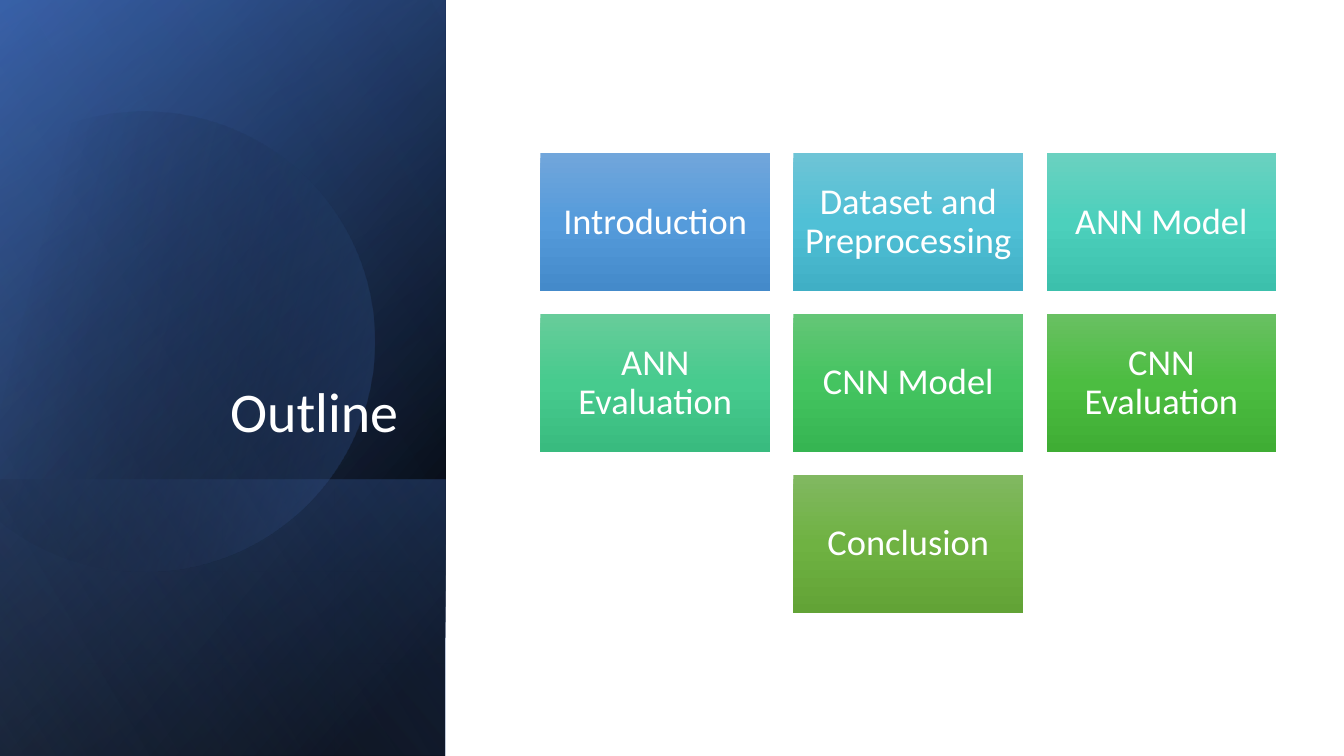
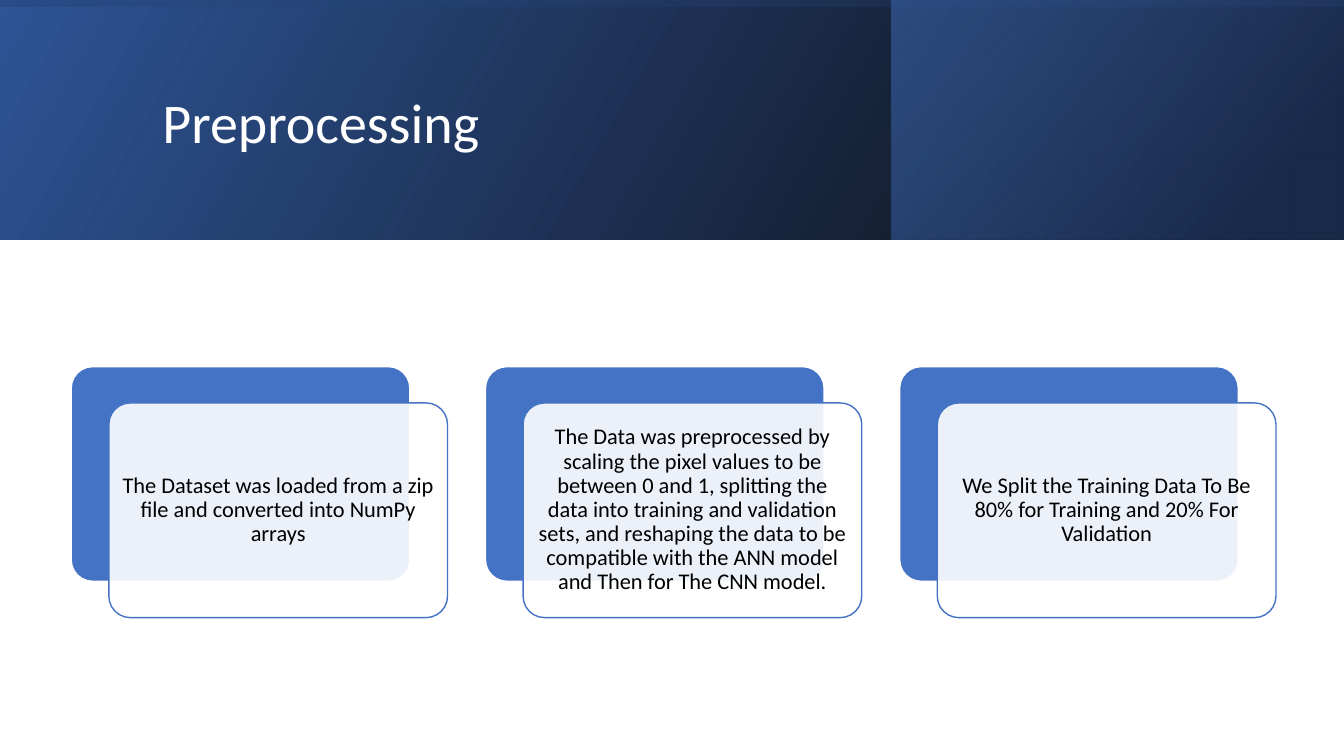
import math

from lxml import etree
from pptx import Presentation
from pptx import util as u
from pptx.dml.color import RGBColor
from pptx.enum import shapes, text
from pptx.oxml.ns import qn

COLORS = {
    "white": "FFFFFF",
    "black": "000000",
    "navy": "203864",
    "deep": "2F5597",
    "blue": "4472C4",
    "pale": "8FAADC",
}
FONT = "Calibri"
TITLE_SIZE = 40

TOPICS = [
    ("Introduction", ("71A6DB", "559BDB", "448ACA")),
    ("Dataset and Preprocessing", ("6EC4D6", "50C0D6", "40AFC5")),
    ("ANN Model", ("6AD1C0", "4CD0BC", "3CC0AC")),
    ("ANN Evaluation", ("67CC9A", "47CB8E", "39BB7F")),
    ("CNN Model", ("64C677", "44C460", "36B552")),
    ("CNN Evaluation", ("69C062", "4CBD41", "3FAD34")),
    ("Conclusion", ("81B861", "6FB242", "62A336")),
]
STEPS = [
    "The Dataset was loaded from a zip file and converted into NumPy arrays",
    "The Data was preprocessed by scaling the pixel values to be between 0 and 1, "
    "splitting the data into training and validation sets, and reshaping the data "
    "to be compatible with the ANN model and Then for The CNN model.",
    "We Split the Training Data To Be 80% for Training and 20% For Validation",
]


class Deck:
    def __init__(self):
        self.presentation = Presentation()
        self.presentation.slide_width = u.Inches(13.33)
        self.presentation.slide_height = u.Inches(7.5)
        self.slide = None

    def add_slide(self):
        layout = self.presentation.slide_layouts[5]
        self.slide = self.presentation.slides.add_slide(layout)

    def box(self, left, top, width, height):
        across = self.presentation.slide_width / 100
        down = self.presentation.slide_height / 100
        return [round(value) for value in
                (left * across, top * down, width * across, height * down)]

    def color(self, name):
        return RGBColor.from_string(COLORS.get(name, name))

    def gradient(self, shape, stops, angle):
        shape.fill.gradient()
        properties = shape.element.spPr
        stop_list = properties.find(".//" + qn("a:gsLst"))
        stop_list.clear()
        for position, name, opacity in stops:
            stop = etree.SubElement(stop_list, qn("a:gs"), pos=str(position * 1000))
            color = etree.SubElement(stop, qn("a:srgbClr"), val=COLORS.get(name, name))
            if opacity < 100:
                etree.SubElement(color, qn("a:alpha"), val=str(opacity * 1000))
        line = properties.find(".//" + qn("a:lin"))
        line.set("ang", str(angle * 60000))
        line.set("scaled", "0")

    def finish(self, shape):
        shape.shadow.inherit = False
        shape.line.fill.background()

    def panel(self, area, stops, angle, rotation=0):
        left, top, width, height = self.box(*area)
        if rotation % 180:
            left += (width - height) // 2
            top += (height - width) // 2
            width, height = height, width
        shape = self.slide.shapes.add_shape(
            shapes.MSO_SHAPE.RECTANGLE, left, top, width, height)
        shape.rotation = rotation
        shape.element.spPr.find(qn("a:xfrm")).set("flipH", "1")
        self.finish(shape)
        self.gradient(shape, stops, angle)

    def clipped_circle(self, center, radius, arc, rotation, stops, angle):
        x, y, radius, _ = self.box(*center, radius, 0)
        start, end = arc
        points = []
        for step in range(121):
            turn = math.radians(start + (end - start) * step / 120)
            points.append((x + radius * math.cos(turn), y + radius * math.sin(turn)))
        builder = self.slide.shapes.build_freeform(*points[0])
        builder.add_line_segments(points[1:], close=True)
        shape = builder.convert_to_shape()
        shape.rotation = rotation
        self.finish(shape)
        self.gradient(shape, stops, angle)

    def label(self, shape, words, size, color, align, anchor, inset=0.1):
        frame = shape.text_frame
        frame.word_wrap = True
        frame.auto_size = text.MSO_AUTO_SIZE.NONE
        frame.vertical_anchor = anchor
        frame.margin_left = frame.margin_right = u.Inches(inset)
        frame.margin_top = frame.margin_bottom = u.Inches(min(inset, 0.05))
        paragraph = frame.paragraphs[0]
        paragraph.alignment = align
        paragraph.line_spacing = 0.9
        run = paragraph.add_run()
        run.text = words
        run.font.name = FONT
        run.font.size = u.Pt(size)
        run.font.color.rgb = self.color(color)

    def title(self, words, area, align, anchor):
        shape = self.slide.shapes.title
        shape.left, shape.top, shape.width, shape.height = self.box(*area)
        self.label(shape, words, TITLE_SIZE, "white", align, anchor)
        shape.element.getparent().append(shape.element)

    def tile(self, words, area, colors):
        shape = self.slide.shapes.add_shape(
            shapes.MSO_SHAPE.RECTANGLE, *self.box(*area))
        self.finish(shape)
        self.gradient(shape, [(i * 50, color, 100) for i, color in enumerate(colors)], 90)
        self.label(shape, words, 26, "white", text.PP_ALIGN.CENTER,
                   text.MSO_ANCHOR.MIDDLE, 0.11)

    def rounded(self, area, fill, line, opacity=100):
        shape = self.slide.shapes.add_shape(
            shapes.MSO_SHAPE.ROUNDED_RECTANGLE, *self.box(*area))
        shape.adjustments[0] = 0.1
        shape.shadow.inherit = False
        shape.fill.solid()
        shape.fill.fore_color.rgb = self.color(fill)
        if opacity < 100:
            color = shape.element.spPr.find(qn("a:solidFill"))[0]
            etree.SubElement(color, qn("a:alpha"), val=str(opacity * 1000))
        shape.line.color.rgb = self.color(line)
        shape.line.width = u.Pt(1)
        return shape

    def card(self, words, left, top):
        width, height = 25.2, 28.4
        self.rounded((left, top, width, height), "blue", "white")
        front = self.rounded((left + 2.8, top + 4.8, width, height), "white", "blue", 90)
        self.label(front, words, 16, "black", text.PP_ALIGN.CENTER,
                   text.MSO_ANCHOR.MIDDLE, 0.07)


def outline(deck):
    deck.add_slide()
    side = (0, 0, 33.15, 100)
    deck.panel(side, [(8, "black", 100), (100, "deep", 100)], 50, 90)
    deck.panel(side, [(0, "black", 0), (99, "blue", 46)], 30, 90)
    deck.panel((0, 63.47, 33.15, 36.53), [(2, "blue", 29), (100, "black", 30)], 130, 90)
    deck.clipped_circle((10.68, 44.6), 17.14, (-117.6, 149.8), 343.9,
                        [(29, "black", 0), (100, "blue", 43)], 30)
    deck.panel(side, [(0, "black", 0), (99, "pale", 11)], 120, 90)
    deck.title("Outline", (4.8, 24.53, 25.58, 34.93),
               text.PP_ALIGN.RIGHT, text.MSO_ANCHOR.BOTTOM)
    columns = 3
    for index, (words, colors) in enumerate(TOPICS):
        row, column = divmod(index, columns)
        row_length = min(columns, len(TOPICS) - row * columns)
        column += (columns - row_length) / 2
        deck.tile(words, (40.21 + column * 18.83, 20.27 + row * 21.27, 17.1, 18.27), colors)


def preprocessing(deck):
    deck.add_slide()
    band = (0, 0, 100, 31.7)
    deck.panel(band, [(0, "black", 96), (100, "deep", 100)], 330)
    deck.panel((66.3, 0, 33.65, 31.7), [(19, "navy", 68), (100, "blue", 48)], 320)
    deck.panel(band, [(23, "deep", 16), (99, "black", 45)], 350, 270)
    deck.title("Preprocessing", (11.33, 5.07, 79.74, 22.93),
               text.PP_ALIGN.LEFT, text.MSO_ANCHOR.MIDDLE)
    for index, words in enumerate(STEPS):
        deck.card(words, 5.3 + index * 30.82, 48.5)


def main():
    deck = Deck()
    outline(deck)
    preprocessing(deck)
    deck.presentation.save("out.pptx")


if __name__ == "__main__":
    main()
